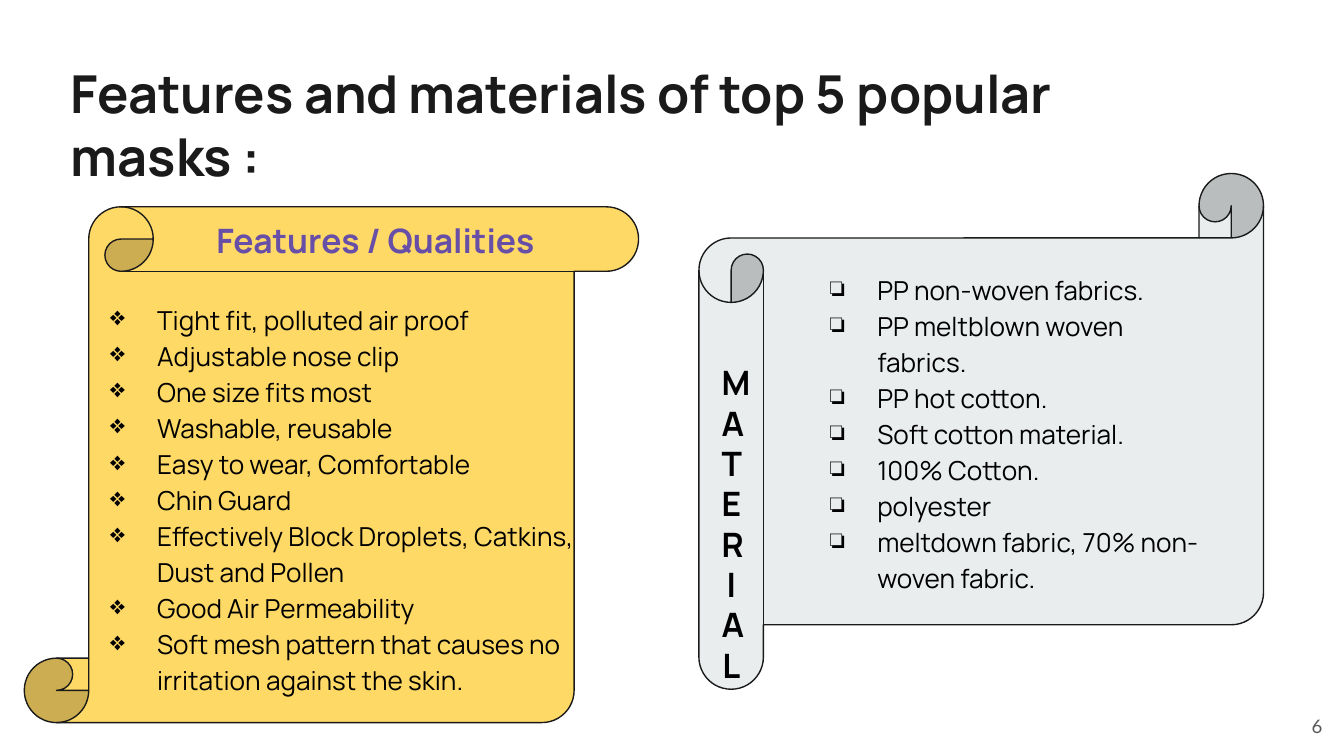
from lxml.etree import SubElement
from pptx import Presentation
from pptx.dml.color import RGBColor
from pptx.enum.shapes import MSO_SHAPE
from pptx.enum.text import MSO_ANCHOR, PP_ALIGN
from pptx.oxml.ns import qn
from pptx.util import Cm, Pt

BLACK = "000000"
INK = "1A1A1A"


def color(hex_code):
    return RGBColor.from_string(hex_code)


def apply(target, values):
    for name, value in values.items():
        setattr(target, name, value)


class SlideBuilder:
    font_name = "Manrope"
    inset = Cm(0.25)
    list_indent = Cm(1.27)
    list_hanging = Cm(-0.89)

    def __init__(self, slide):
        self.slide = slide

    def scroll(self, preset, box, fill):
        scroll = self.slide.shapes.add_shape(preset, *map(Cm, box))
        scroll.shadow.inherit = False
        scroll.adjustments[0] = 0.125
        scroll.fill.solid()
        scroll.fill.fore_color.rgb = color(fill)
        scroll.line.color.rgb = color(INK)
        scroll.line.width = Pt(0.75)

    def text(self, box, lines, size, ink=BLACK, bold=False, name=None,
             align=PP_ALIGN.LEFT, anchor=MSO_ANCHOR.TOP, bullet=None):
        frame = self.slide.shapes.add_textbox(*map(Cm, box)).text_frame
        apply(frame, {
            "word_wrap": True, "vertical_anchor": anchor,
            "margin_left": self.inset, "margin_right": self.inset,
            "margin_top": self.inset, "margin_bottom": self.inset,
        })
        for index, line in enumerate(lines):
            paragraph = frame.add_paragraph() if index else frame.paragraphs[0]
            paragraph.alignment = align
            if bullet:
                self.bullet(paragraph, bullet)
            run = paragraph.add_run()
            run.text = line
            apply(run.font, {"name": name or self.font_name,
                             "size": Pt(size), "bold": bold})
            run.font.color.rgb = color(ink)

    def bullet(self, paragraph, symbol):
        properties = paragraph._p.get_or_add_pPr()
        properties.set("marL", str(self.list_indent))
        properties.set("indent", str(self.list_hanging))
        bullet_color = SubElement(properties, qn("a:buClr"))
        SubElement(bullet_color, qn("a:srgbClr"), val=BLACK)
        SubElement(properties, qn("a:buChar"), char=symbol)
        paragraph.line_spacing = 1.15

    def bullet_list(self, box, items, symbol):
        self.text(box, items, 14, bullet=symbol)


def main():
    presentation = Presentation()
    apply(presentation, {"slide_width": Cm(25.4), "slide_height": Cm(14.29)})
    builder = SlideBuilder(
        presentation.slides.add_slide(presentation.slide_layouts[6]))

    features = [
        "Tight fit, polluted air proof",
        "Adjustable nose clip",
        "One size fits most",
        "Washable, reusable",
        "Easy to wear, Comfortable",
        "Chin Guard",
        "Effectively Block Droplets, Catkins, Dust and Pollen",
        "Good Air Permeability",
        "Soft mesh pattern that causes no irritation against the skin.",
    ]
    materials = [
        "PP non-woven fabrics.",
        "PP meltblown woven fabrics.",
        "PP hot cotton.",
        "Soft cotton material.",
        "100% Cotton.",
        "polyester",
        "meltdown fabric, 70% non-woven fabric.",
    ]

    builder.text((1.09, 0.91, 21.44, 2.97),
                 ["Features and materials of top 5 popular masks :"],
                 28, INK, bold=True)

    builder.scroll(MSO_SHAPE.VERTICAL_SCROLL, (0.46, 3.91, 11.61, 9.75), "FFD966")
    builder.bullet_list((1.45, 5.41, 9.67, 8), features, "❖")
    builder.text((3.84, 3.91, 7.42, 1.27), ["Features / Qualities"],
                 18, "674EA7", bold=True)

    builder.scroll(MSO_SHAPE.HORIZONTAL_SCROLL, (13.21, 3.28, 10.67, 9.75), "E9EDEE")
    builder.text((13.39, 6.6, 0.86, 6.68), ["MATERIAL"], 18, bold=True,
                 align=PP_ALIGN.CENTER)
    builder.bullet_list((15.06, 4.85, 8.1, 6.63), materials, "❏")

    builder.text((23.72, 13.18, 1.52, 1.09), ["6"], 10, "595959", name="Lato",
                 align=PP_ALIGN.RIGHT, anchor=MSO_ANCHOR.MIDDLE)

    presentation.save("out.pptx")


if __name__ == "__main__":
    main()
